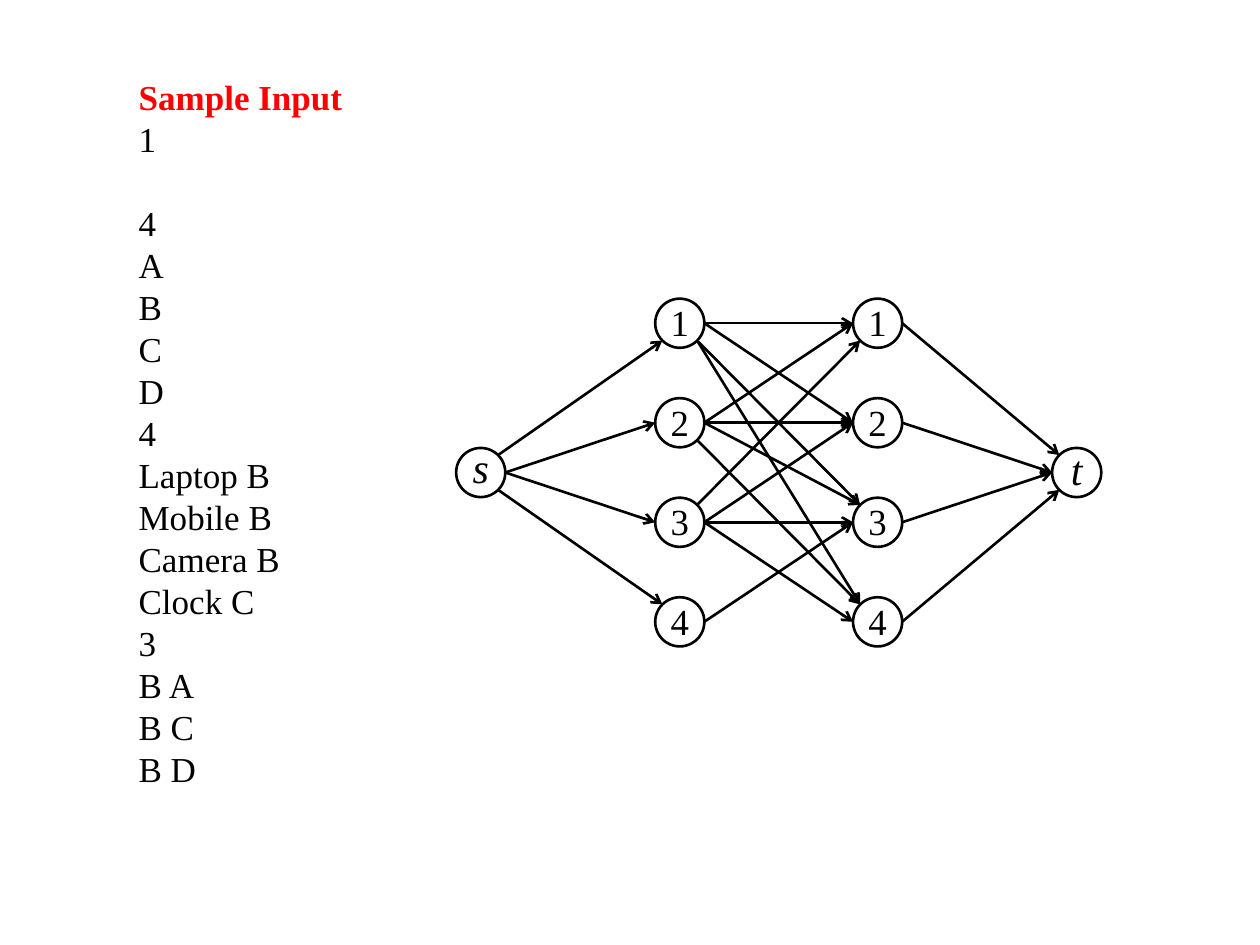
import math

import pptx
import pptx.util
from lxml import etree
from pptx.dml.color import RGBColor
from pptx.enum.shapes import MSO_CONNECTOR, MSO_SHAPE
from pptx.enum.text import MSO_ANCHOR, MSO_AUTO_SIZE, PP_ALIGN
from pptx.oxml.ns import qn
from pptx.util import Inches

FONT = "Times New Roman"
BLACK, WHITE, RED = "000000", "FFFFFF", "FF0000"

HEADING = "Sample Input"
# Groups of input lines; one empty line's height separates the groups.
INPUT_GROUPS = [
    ["1"],
    ["4", "A", "B", "C", "D",
     "4", "Laptop B", "Mobile B", "Camera B", "Clock C",
     "3", "B A", "B C", "B D"],
]
LINE_HEIGHT = 24

DIAMETER = 0.39
COLUMN_LEFT = [3.62, 5.2, 6.77, 8.35]
TOP, ROW_STEP = 2.37, 0.79

# Node: (column, row). L is the left layer, R the right one.
NODES = {"s": (0, 1.5), "t": (3, 1.5)}
for row in range(4):
    NODES[f"L{row + 1}"] = (1, row)
    NODES[f"R{row + 1}"] = (2, row)

# Angle in degrees of each point on a circle, clockwise from the right.
PORTS = {"E": 0, "SE": 45, "SW": 135, "W": 180, "NW": 225, "NE": 315}

# Arrow: from node, its port, to node, its port.
ARROWS = [
    ("s", "NE", "L1", "SW"), ("s", "E", "L2", "W"),
    ("s", "E", "L3", "W"), ("s", "SE", "L4", "NW"),
    ("L1", "E", "R1", "W"), ("L1", "E", "R2", "W"),
    ("L1", "SE", "R3", "NW"), ("L1", "SE", "R4", "NW"),
    ("L2", "E", "R1", "W"), ("L2", "E", "R2", "W"),
    ("L2", "E", "R3", "NW"), ("L2", "SE", "R4", "NW"),
    ("L3", "NE", "R1", "SW"), ("L3", "E", "R2", "W"),
    ("L3", "E", "R3", "W"), ("L3", "E", "R4", "W"),
    ("L4", "E", "R3", "W"),
    ("R1", "E", "t", "NW"), ("R2", "E", "t", "W"),
    ("R3", "E", "t", "W"), ("R4", "E", "t", "SW"),
]


def color(hex_code):
    return RGBColor.from_string(hex_code)


def add_run(paragraph, text, size, hex_code=BLACK, bold=False, italic=False):
    run = paragraph.add_run()
    run.text = text
    font = run.font
    font.name, font.size = FONT, pptx.util.Pt(size)
    font.bold, font.italic = bold, italic
    font.color.rgb = color(hex_code)


def set_margins(frame, left, top, right, bottom):
    frame.margin_left, frame.margin_top = Inches(left), Inches(top)
    frame.margin_right, frame.margin_bottom = Inches(right), Inches(bottom)


def node_corner(name):
    column, row = NODES[name]
    return COLUMN_LEFT[column], TOP + row * ROW_STEP


def port_point(name, port):
    left, top = node_corner(name)
    angle, radius = math.radians(PORTS[port]), DIAMETER / 2
    return (Inches(left + radius + radius * math.cos(angle)),
            Inches(top + radius + radius * math.sin(angle)))


def fill_sample_input(body):
    body.left, body.top = Inches(1.06), Inches(0.6)
    body.width, body.height = Inches(1.77), Inches(5.71)
    frame = body.text_frame
    frame.word_wrap = True
    frame.auto_size = MSO_AUTO_SIZE.NONE
    frame.vertical_anchor = MSO_ANCHOR.TOP
    set_margins(frame, 0.04, 0, 0.04, 0.05)

    heading = frame.paragraphs[0]
    add_run(heading, HEADING, 20, RED, bold=True)
    for group_index, group in enumerate(INPUT_GROUPS):
        for line_index, line in enumerate(group):
            paragraph = frame.add_paragraph()
            add_run(paragraph, line, 20)
            starts_group = group_index > 0 and line_index == 0
            paragraph.space_before = pptx.util.Pt(LINE_HEIGHT if starts_group else 0)
    heading.space_before = pptx.util.Pt(0)
    for paragraph in frame.paragraphs:
        paragraph.alignment = PP_ALIGN.LEFT
        paragraph.space_after = pptx.util.Pt(0)
        paragraph.line_spacing = pptx.util.Pt(LINE_HEIGHT)


def add_node(slide, name):
    left, top = node_corner(name)
    circle = slide.shapes.add_shape(MSO_SHAPE.OVAL, Inches(left), Inches(top),
                                    Inches(DIAMETER), Inches(DIAMETER))
    circle.shadow.inherit = False
    circle.fill.solid()
    circle.fill.fore_color.rgb = color(WHITE)
    circle.line.color.rgb = color(BLACK)
    circle.line.width = pptx.util.Pt(1.5)
    frame = circle.text_frame
    frame.word_wrap = False
    frame.vertical_anchor = MSO_ANCHOR.MIDDLE
    set_margins(frame, 0, 0, 0, {"s": 0.1, "t": 0.06}.get(name, 0.02))
    label = frame.paragraphs[0]
    label.alignment = PP_ALIGN.CENTER
    is_terminal = name in ("s", "t")
    add_run(label, name[-1], 24 if is_terminal else 21, italic=is_terminal)


def add_arrow(slide, source, source_port, target, target_port):
    arrow = slide.shapes.add_connector(
        MSO_CONNECTOR.STRAIGHT,
        *port_point(source, source_port), *port_point(target, target_port))
    arrow.line.color.rgb = color(BLACK)
    arrow.line.width = pptx.util.Pt(1.5)
    etree.SubElement(arrow.line._get_or_add_ln(), qn("a:tailEnd"), type="arrow")
    etree.SubElement(arrow._element.spPr, qn("a:effectLst"))


def main():
    deck = pptx.Presentation()
    deck.slide_width, deck.slide_height = Inches(10), Inches(7.5)
    # The section layout has a plain, unbulleted body placeholder.
    slide = deck.slides.add_slide(deck.slide_layouts[2])
    title = slide.shapes.title
    title._element.getparent().remove(title._element)

    fill_sample_input(slide.placeholders[1])
    for name in NODES:
        add_node(slide, name)
    for arrow in ARROWS:
        add_arrow(slide, *arrow)
    deck.save("out.pptx")


if __name__ == "__main__":
    main()
